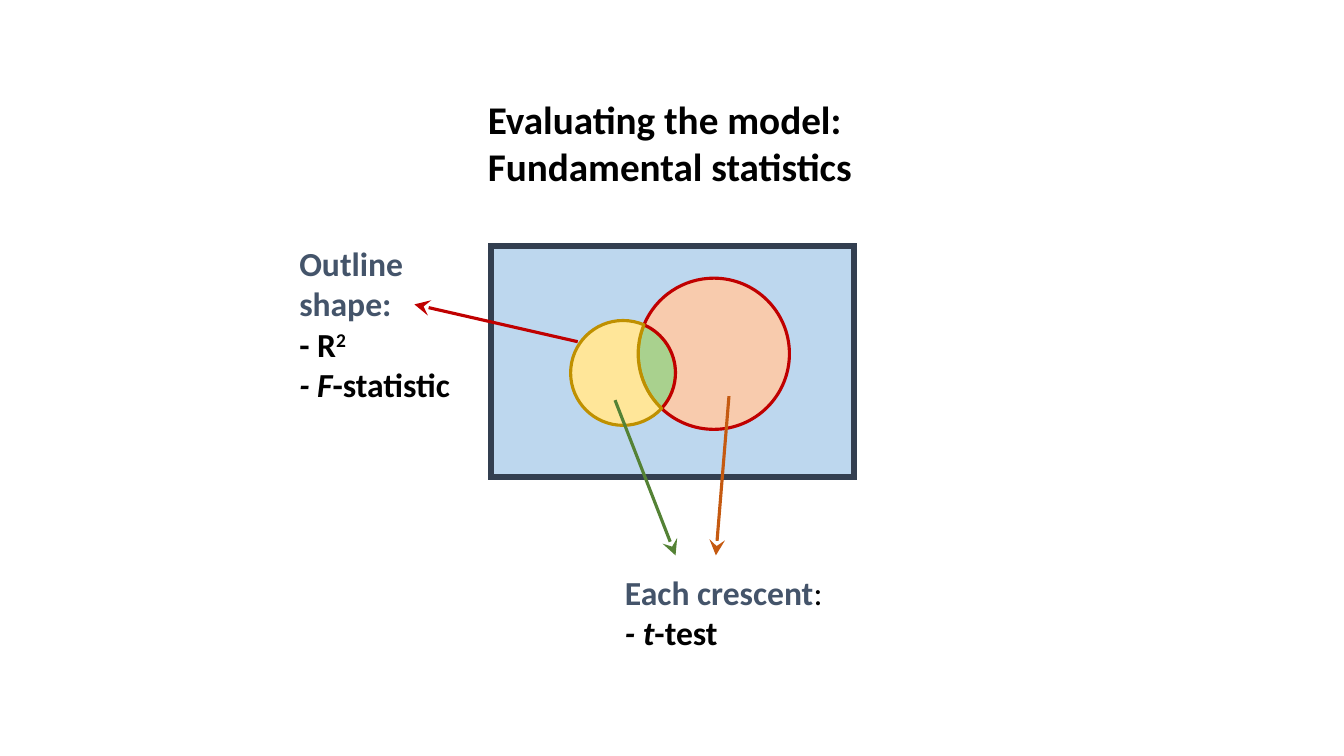
import math
from lxml import etree
from pptx import Presentation
from pptx.dml.color import RGBColor
from pptx.enum import shapes, text
from pptx.oxml.ns import qn
from pptx.util import Inches, Pt

INK, SLATE = "000000", "44546A"
RED, GOLD = "C00000", "BF9000"

# left, top, width, height, fill, line, line width
PANELS = [
    (4.75, 2.22, 4.49, 3.18, "FFFFFF", None, 0),
    (4.87, 2.44, 3.6, 2.29, "BDD7EE", "333F50", 4.5),
]
# centre x, centre y, radius
SMALL = (6.18, 3.7, 0.52)
BIG = (7.08, 3.51, 0.75)
# tip, tail, colour
ARROWS = [
    ((4.11, 3.02), (5.73, 3.39), RED),
    ((6.7, 5.51), (6.1, 3.97), "548235"),
    ((7.1, 5.51), (7.23, 3.93), "C55A11"),
]
# box, size, wrap, paragraphs of runs: (text, colour, style), style from b, i, ^
LABELS = [
    ((2.87, 2.36, 1.94, 1.72), 24, True, [
        [("Outline shape:", SLATE, "b")],
        [("- R", INK, "b"), ("2", INK, "b^")],
        [("- F", INK, "bi"), ("-statistic", INK, "b")]]),
    ((6.1, 5.62, 2.38, 0.91), 24, True, [
        [("Each crescent", SLATE, "b"), (":", INK, "")],
        [("- t", INK, "bi"), ("-test", INK, "b")]]),
    ((4.74, 0.9, 3.86, 1.04), 28, False, [
        [("Evaluating the model:", INK, "b")],
        [("Fundamental statistics", INK, "b")]]),
]


def rgb(value):
    """Turn a hex string into a colour."""
    return RGBColor.from_string(value)


def paint(sp, fill, line, width):
    """Set fill and outline and remove the shadow."""
    sp.shadow.inherit = False
    sp.fill.solid()
    sp.fill.fore_color.rgb = rgb(fill)
    if line:
        sp.line.color.rgb = rgb(line)
        sp.line.width = Pt(width)
    else:
        sp.line.fill.background()


def add_line_part(sp, tag, **attributes):
    """Append a join or arrowhead to the outline of a shape."""
    etree.SubElement(sp._element.spPr.find(qn("a:ln")), qn(tag), **attributes)


def arc(circle, start, end):
    """List the Bezier points of an arc, split at each quarter of the circle."""
    cx, cy, radius = circle
    low, high = sorted((start, end))
    quarter = math.pi / 2
    inner = range(math.ceil(low / quarter), math.floor(high / quarter) + 1)
    knots = [low, *[i * quarter for i in inner], high]
    points = [(math.cos(low), math.sin(low))]
    for a, b in zip(knots, knots[1:]):
        k = 4 / 3 * math.tan((b - a) / 4)
        points += [(math.cos(a) - k * math.sin(a), math.sin(a) + k * math.cos(a)),
                   (math.cos(b) + k * math.sin(b), math.sin(b) - k * math.cos(b)),
                   (math.cos(b), math.sin(b))]
    placed = [(Inches(cx + radius * x), Inches(cy + radius * y)) for x, y in points]
    return placed if start < end else placed[::-1]


def add_region(s, first, second, fill, line):
    """Draw a closed outline made of two arcs."""
    points = first + second[1:]
    builder = s.shapes.build_freeform(*points[0], scale=1.0)
    builder.add_line_segments(points[1:], close=True)
    sp = builder.convert_to_shape()
    steps = list(sp._element.iter(qn("a:lnTo")))
    for i in range(0, len(steps), 3):
        curve = etree.Element(qn("a:cubicBezTo"))
        steps[i].addprevious(curve)
        for step in steps[i:i + 3]:
            curve.append(step[0])
            step.getparent().remove(step)
    paint(sp, fill, line, 2.25)


def add_venn(s):
    """Draw the overlap and the two crescents of the circles."""
    (x1, y1, r1), (x2, y2, r2) = SMALL, BIG
    dist = math.hypot(x2 - x1, y2 - y1)
    axis = math.atan2(y2 - y1, x2 - x1)
    half1 = math.acos((r1**2 + dist**2 - r2**2) / (2 * r1 * dist))
    half2 = math.acos((r2**2 + dist**2 - r1**2) / (2 * r2 * dist))
    back, turn = axis + math.pi, 2 * math.pi
    small_inner = arc(SMALL, axis - half1, axis + half1)
    big_inner = arc(BIG, back - half2, back + half2)
    small_outer = arc(SMALL, axis + half1, axis - half1 + turn)
    big_outer = arc(BIG, back + half2, back - half2 + turn)
    add_region(s, small_inner, big_inner, "A9D18E", GOLD)
    add_region(s, big_outer, small_inner[::-1], "F8CBAD", RED)
    add_region(s, small_outer, big_inner[::-1], "FFE699", GOLD)


def add_arrow(s, tip, tail, color):
    """Draw a line with a large stealth arrowhead at its tip."""
    ends = [Inches(v) for v in tip + tail]
    sp = s.shapes.add_connector(shapes.MSO_CONNECTOR.STRAIGHT, *ends)
    sp.line.color.rgb = rgb(color)
    sp.line.width = Pt(2.25)
    add_line_part(sp, "a:headEnd", type="stealth", w="lg", len="lg")
    etree.SubElement(sp._element.spPr, qn("a:effectLst"))


def add_label(s, box, size, wrap, paragraphs):
    """Add a text box of styled runs."""
    tf = s.shapes.add_textbox(*[Inches(v) for v in box]).text_frame
    tf.word_wrap = wrap
    tf.auto_size = text.MSO_AUTO_SIZE.SHAPE_TO_FIT_TEXT
    for i, runs in enumerate(paragraphs):
        p = tf.add_paragraph() if i else tf.paragraphs[0]
        for words, color, style in runs:
            r = p.add_run()
            r.text = words
            r.font.name, r.font.size = "Calibri", Pt(size)
            r.font.color.rgb = rgb(color)
            r.font.bold, r.font.italic = "b" in style, "i" in style
            if "^" in style:
                r._r.get_or_add_rPr().set("baseline", "30000")


prs = Presentation()
prs.slide_width, prs.slide_height = Inches(13.33), Inches(7.5)
s = prs.slides.add_slide(prs.slide_layouts[6])
for *box, fill, line, width in PANELS:
    sp = s.shapes.add_shape(shapes.MSO_SHAPE.RECTANGLE, *[Inches(v) for v in box])
    paint(sp, fill, line, width)
    add_line_part(sp, "a:miter", lim="800000")
add_venn(s)
for arrow in ARROWS:
    add_arrow(s, *arrow)
for label in LABELS:
    add_label(s, *label)
prs.save("out.pptx")
